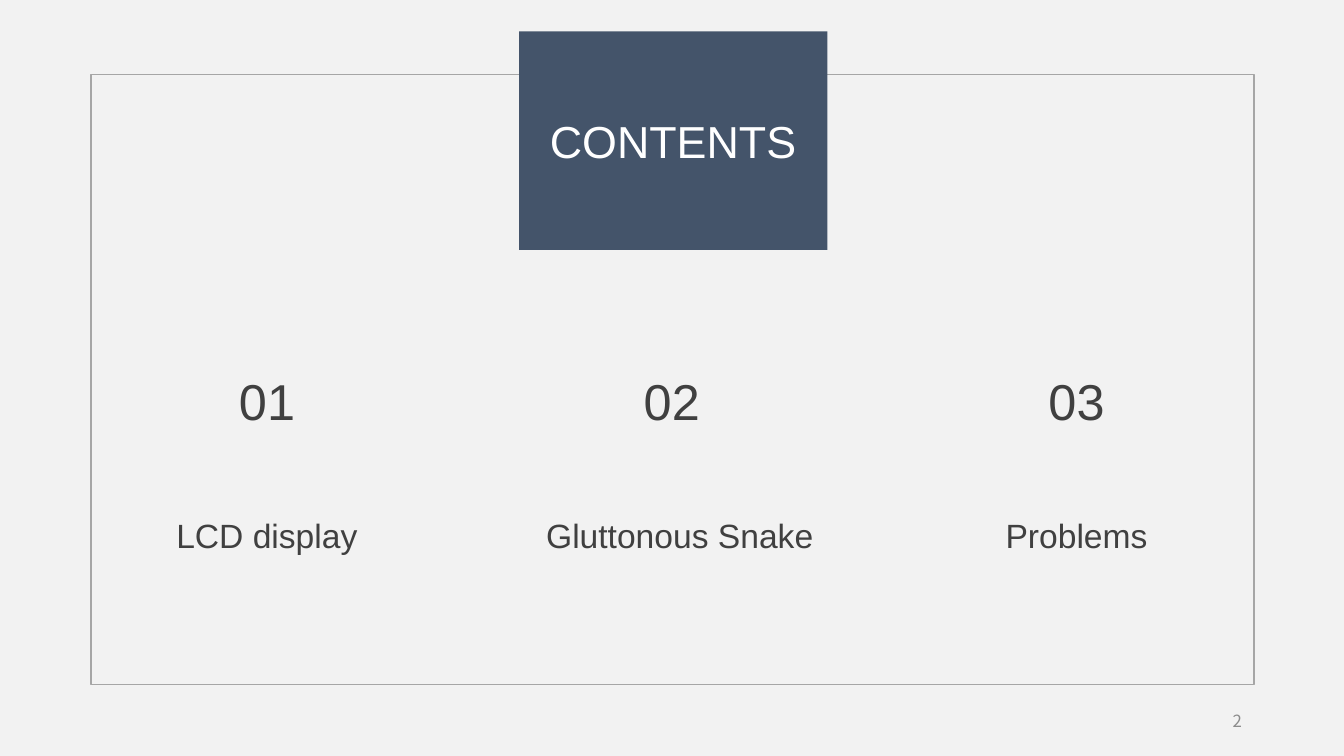
from dataclasses import dataclass

from pptx import Presentation
from pptx.dml.color import RGBColor
from pptx.enum import shapes, text
from pptx.util import Cm, Pt

INK = "404040"
FIRST_CENTER, STEP = 6.73, 10.2  # number columns, in cm


@dataclass
class Box:
    left: float
    top: float
    width: float
    height: float

    def lengths(self) -> tuple:
        return Cm(self.left), Cm(self.top), Cm(self.width), Cm(self.height)


@dataclass
class Topic:
    label: str
    left: float
    width: float


TOPICS = [
    Topic("LCD display", 3.5, 6.45),
    Topic("Gluttonous Snake", 13.08, 8.1),
    Topic("Problems", 23.14, 7.98),
]


def rgb(value: str) -> RGBColor:
    return RGBColor.from_string(value)


def write(sp, words: str, size: float, color: str, font: str = "Arial",
          align=text.PP_ALIGN.CENTER, anchor=text.MSO_ANCHOR.MIDDLE) -> None:
    tf = sp.text_frame
    tf.text = words
    tf.word_wrap = True
    tf.auto_size = text.MSO_AUTO_SIZE.NONE
    tf.vertical_anchor = anchor
    p = tf.paragraphs[0]
    p.alignment = align
    p.line_spacing = 1.0
    r = p.runs[0]
    r.font.size = Pt(size)
    r.font.name = font
    r.font.color.rgb = rgb(color)


def add_text(s, box: Box, words: str, size: float, color: str, **style) -> None:
    write(s.shapes.add_textbox(*box.lengths()), words, size, color, **style)


def add_frame(s, box: Box) -> None:
    sp = s.shapes.add_shape(shapes.MSO_SHAPE.RECTANGLE, *box.lengths())
    sp.shadow.inherit = False
    sp.fill.background()
    sp.line.color.rgb = rgb("A6A6A6")
    sp.line.width = Pt(1)
    # Send the frame behind the title
    s.shapes.title._element.addprevious(sp._element)


def format_title(s, box: Box) -> None:
    sp = s.shapes.title
    sp.left, sp.top, sp.width, sp.height = box.lengths()
    sp.fill.solid()
    sp.fill.fore_color.rgb = rgb("44546A")
    write(sp, "CONTENTS", 32, "FFFFFF")


def add_topic(s, index: int, topic: Topic) -> None:
    center = FIRST_CENTER + index * STEP
    add_text(s, Box(center - 1.35, 9.07, 2.7, 2.06), f"{index + 1:02d}", 36, INK)
    add_text(s, Box(topic.left, 12.85, topic.width, 1.27), topic.label, 24, INK,
             anchor=text.MSO_ANCHOR.TOP)


def main() -> None:
    prs = Presentation()
    prs.slide_width, prs.slide_height = Cm(33.87), Cm(19.05)
    s = prs.slides.add_slide(prs.slide_layouts[5])
    s.background.fill.solid()
    s.background.fill.fore_color.rgb = rgb("F2F2F2")

    # Frame and title
    format_title(s, Box(13.08, 0.79, 7.77, 5.51))
    add_frame(s, Box(2.29, 1.88, 29.31, 15.37))

    # Topics
    for index, topic in enumerate(TOPICS):
        add_topic(s, index, topic)

    # Page number
    add_text(s, Box(23.93, 17.65, 7.62, 1.02), "2", 12, "8C8C8C",
             font="Noto Sans CJK SC", align=text.PP_ALIGN.RIGHT)

    prs.save("out.pptx")


if __name__ == "__main__":
    main()
